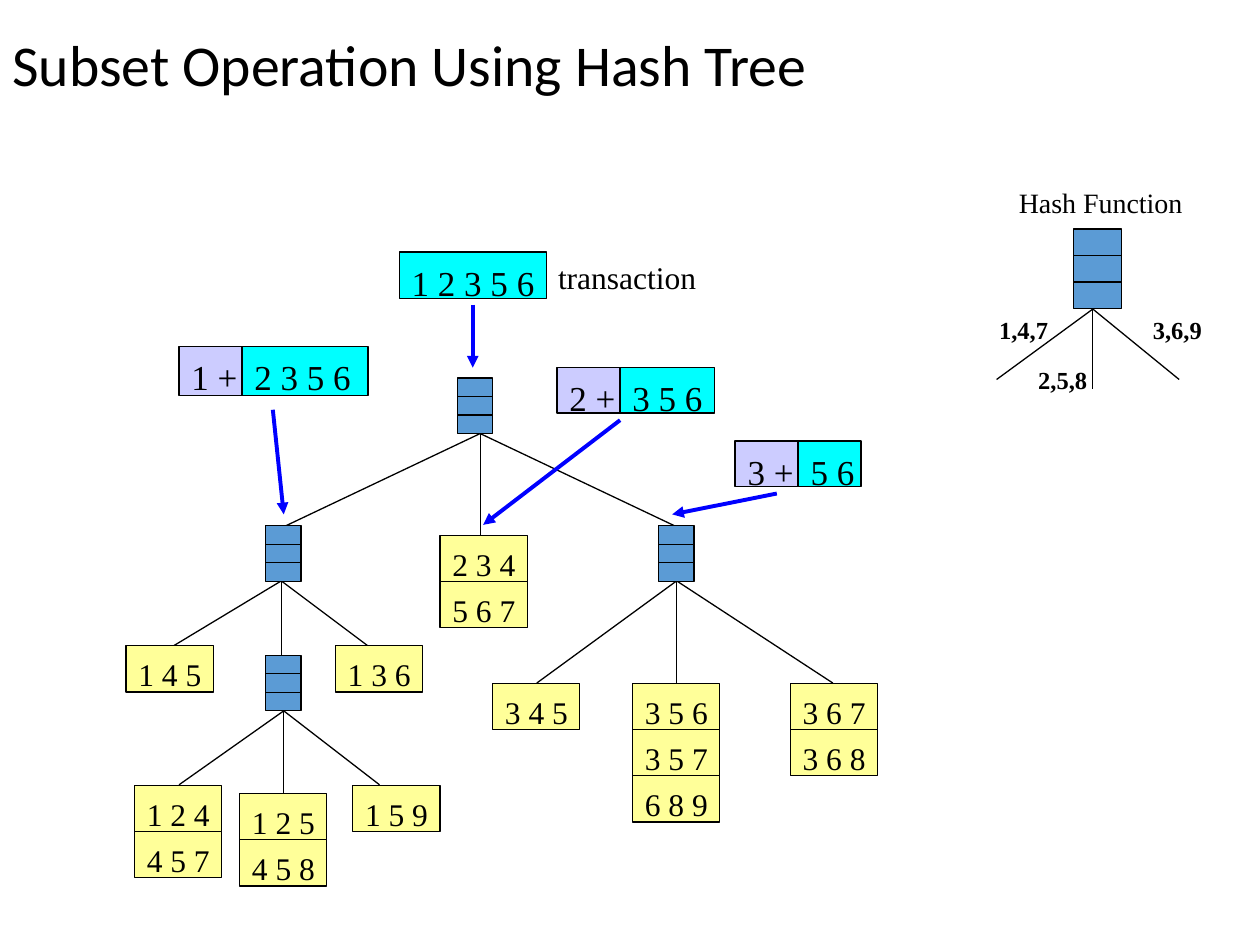
import pptx
import pptx.util
import pptx.dml.color
import pptx.enum.shapes
import pptx.enum.text
import pptx.oxml
from dataclasses import dataclass

Cm, Pt = pptx.util.Cm, pptx.util.Pt
Kind = pptx.enum.shapes.MSO_SHAPE
Anchor = pptx.enum.text.MSO_ANCHOR


@dataclass(frozen=True)
class Theme:
    """Colours, fonts and type sizes."""
    black: str = "000000"
    node: str = "5B9BD5"
    leaf: str = "FFFF99"
    rest: str = "00FFFF"
    head: str = "CCCCFF"
    arrow: str = "0000FF"
    sans: str = "Calibri"
    serif: str = "Times New Roman"
    title: int = 33
    item: int = 20
    body: int = 18
    label: int = 16
    small: int = 14
    thin: float = 0.75
    thick: float = 2.25


THEME = Theme()
NODE = (0.71, 1.12)
LEAF = (1.76, 0.93)

# Node corners, then fork tips: start point followed by its three ends
NODES = [(9.22, 7.62), (5.36, 10.6), (13.28, 10.6), (5.36, 13.21)]
FORKS = [
    ((9.68, 8.74), (5.72, 10.62), (9.68, 10.8), (13.64, 10.62)),
    ((5.67, 11.71), (3.43, 13.06), (5.67, 13.21), (7.47, 13.06)),
    ((13.64, 11.71), (10.82, 13.77), (13.64, 13.77), (16.79, 13.77)),
    ((5.72, 14.33), (3.61, 15.82), (5.72, 16), (7.65, 15.82)),
    ((22.03, 6.23), (20.09, 7.65), (22.03, 7.85), (23.77, 7.65)),
]
LEAVES = [
    (8.87, 10.79, ["2 3 4", "5 6 7"]),
    (2.54, 13.02, ["1 4 5"]),
    (6.76, 13.02, ["1 3 6"]),
    (9.93, 13.78, ["3 4 5"]),
    (12.75, 13.78, ["3 5 6", "3 5 7", "6 8 9"]),
    (15.93, 13.78, ["3 6 7", "3 6 8"]),
    (2.71, 15.83, ["1 2 4", "4 5 7"]),
    (4.83, 16, ["1 2 5", "4 5 8"]),
    (7.11, 15.83, ["1 5 9"]),
]
ITEMS = [
    (8.05, 5.08, 2.97, 0.94, "1 2 3 5 6", THEME.rest),
    (3.61, 6.98, 1.9, 1, "1 +", THEME.head),
    (4.88, 6.98, 2.54, 1, "2 3 5 6", THEME.rest),
    (11.23, 7.41, 1.27, 0.92, "2 +", THEME.head),
    (12.5, 7.41, 1.9, 0.92, "3 5 6", THEME.rest),
    (14.82, 8.89, 1.27, 0.92, "3 +", THEME.head),
    (16.09, 8.89, 1.27, 0.92, "5 6", THEME.rest),
]
ARROWS = [
    ((9.53, 6.14), (9.53, 7.41)),
    ((5.5, 8.26), (5.72, 10.37)),
    ((12.5, 8.47), (9.74, 10.58)),
    ((15.66, 9.95), (13.55, 10.37)),
]
KEYS = [(19.89, 6.23, "1,4,7"), (20.68, 7.24, "2,5,8"), (22.99, 6.23, "3,6,9")]


def rgb(code):
    """Turn a hex code into a colour."""
    return pptx.dml.color.RGBColor.from_string(code)


def write(frame, text, size, face=THEME.serif, bold=False):
    """Put one left-aligned paragraph into a text frame."""
    para = frame.paragraphs[0]
    para.text = text
    para.alignment = pptx.enum.text.PP_ALIGN.LEFT
    font = para.font
    font.name, font.size, font.bold = face, Pt(size), bold
    font.color.rgb = rgb(THEME.black)
    return para


def label(slide, x, y, wide, high, text, size, bold=False):
    """Add a free label."""
    frame = slide.shapes.add_textbox(Cm(x), Cm(y), Cm(wide), Cm(high)).text_frame
    frame.word_wrap = False
    write(frame, text, size, bold=bold)


def line(slide, start, end, color=THEME.black, width=THEME.thin, tip=False):
    """Add a straight line, with an arrowhead if asked."""
    link = slide.shapes.add_connector(
        pptx.enum.shapes.MSO_CONNECTOR.STRAIGHT, *map(Cm, start + end))
    link.line.color.rgb = rgb(color)
    link.line.width = Pt(width)
    if tip:
        tail = pptx.oxml.ns.qn("a:tailEnd")
        link.line._get_or_add_ln().makeelement(tail)
        link.line._get_or_add_ln().append(
            link.line._get_or_add_ln().makeelement(tail, {"type": "triangle"}))
    props = link._element.spPr
    props.append(props.makeelement(pptx.oxml.ns.qn("a:effectLst")))


def box(slide, x, y, wide, high, fill):
    """Add an outlined rectangle."""
    rect = slide.shapes.add_shape(Kind.RECTANGLE, Cm(x), Cm(y), Cm(wide), Cm(high))
    rect.shadow.inherit = False
    rect.fill.solid()
    rect.fill.fore_color.rgb = rgb(fill)
    rect.line.color.rgb = rgb(THEME.black)
    rect.line.width = Pt(THEME.thin)
    return rect


def cell(slide, x, y, wide, high, text, fill, size):
    """Add a rectangle that holds a set of items."""
    frame = box(slide, x, y, wide, high, fill).text_frame
    frame.word_wrap = False
    frame.vertical_anchor = Anchor.TOP
    frame.margin_left, frame.margin_top = Cm(0.25), Cm(0.19)
    frame.margin_right = frame.margin_bottom = 0
    write(frame, text, size)


def node(slide, x, y, wide, high):
    """Add a hash node split into three slots."""
    box(slide, x, y, wide, high, THEME.node)
    for slot in (1, 2):
        level = y + high * slot / 3
        line(slide, (x, level), (x + wide, level))


def title(slide, text):
    """Add the slide title."""
    frame = slide.shapes.add_textbox(0, 0, Cm(25.4), Cm(2.74)).text_frame
    frame.word_wrap = True
    frame.vertical_anchor = Anchor.MIDDLE
    write(frame, text, THEME.title, THEME.sans).line_spacing = 0.9


def tree(slide):
    """Draw the forks, nodes and leaves."""
    for start, *ends in FORKS:
        for end in ends:
            line(slide, start, end)
    for x, y in NODES:
        node(slide, x, y, *NODE)
    for x, y, sets in LEAVES:
        for row, text in enumerate(sets):
            cell(slide, x, y + row * LEAF[1], *LEAF, text, THEME.leaf, THEME.body)


def steps(slide):
    """Draw the transaction, its prefixes and the arrows."""
    for x, y, wide, high, text, fill in ITEMS:
        cell(slide, x, y, wide, high, text, fill, THEME.item)
    for start, end in ARROWS:
        line(slide, start, end, THEME.arrow, THEME.thick, True)
    label(slide, 11, 5.08, 3.3, 1.02, "transaction", THEME.body)


def legend(slide):
    """Draw the hash function key."""
    label(slide, 20.29, 3.61, 3.84, 0.94, "Hash Function", THEME.label)
    node(slide, 21.64, 4.62, 0.97, 1.6)
    for x, y, text in KEYS:
        label(slide, x, y, 1.5, 0.84, text, THEME.small, True)


def main():
    """Build and save the slide."""
    deck = pptx.Presentation()
    deck.slide_width, deck.slide_height = Cm(25.4), Cm(19.05)
    slide = deck.slides.add_slide(deck.slide_layouts[6])
    title(slide, "Subset Operation Using Hash Tree")
    tree(slide)
    steps(slide)
    legend(slide)
    deck.save("out.pptx")


main()
